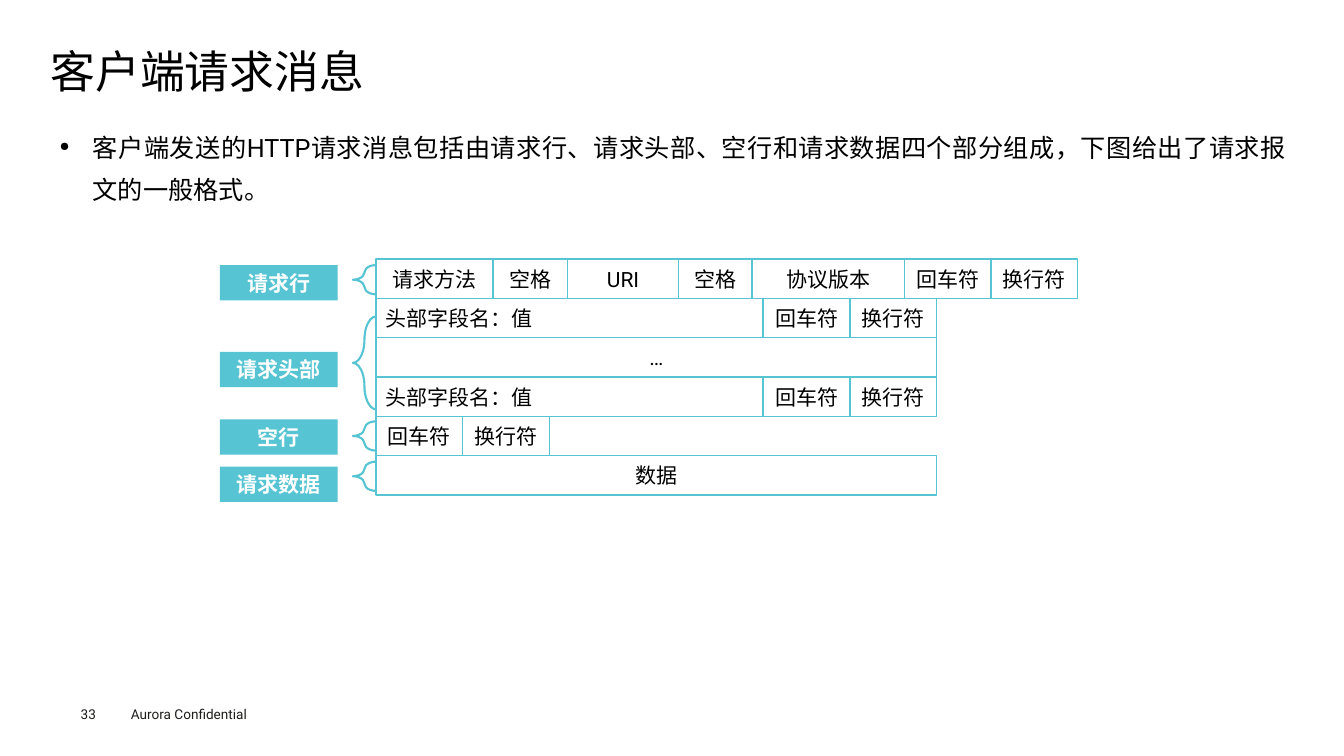
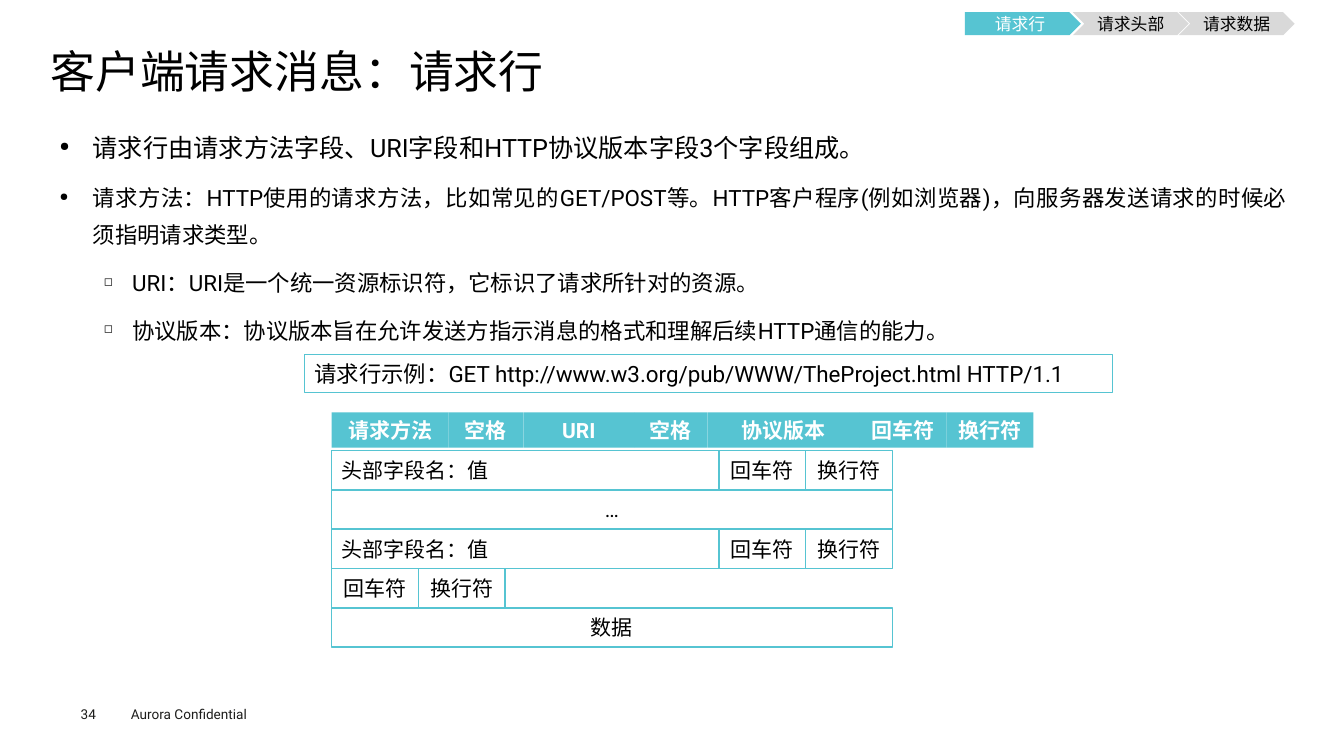
from lxml import etree
from pptx import Presentation
from pptx.dml.color import RGBColor
from pptx.enum.shapes import MSO_SHAPE as Kind
from pptx.enum.text import MSO_ANCHOR as Anchor, PP_ALIGN as Align
from pptx.oxml.ns import qn
from pptx.util import Inches, Pt

rgb = RGBColor.from_string
FONT = "Roboto"
TEAL, GREY, WHITE, BLACK, DARK = "56C4D2", "D9D9D9", "FFFFFF", "000000", "1D1D1B"
PITCH = 0.39
CR, LF = "回车符", "换行符"
FIELD = [("头部字段名：值", 3.84), (CR, 0.86), (LF, 0.86)]
ROWS = [
    [("请求方法", 1.16), ("空格", 0.74), ("URI", 1.1), ("空格", 0.73),
     ("协议版本", 1.51), (CR, 0.86), (LF, 0.86)],
    FIELD,
    [("…", 5.56)],
    FIELD,
    [(CR, 0.86), (LF, 0.86)],
    [("数据", 5.56)],
]


def write(shape, words, size, ink=BLACK, align=Align.LEFT, bold=False,
          inset=None, anchor=Anchor.TOP):
    """Set one styled paragraph in a shape and return it."""
    frame = shape.text_frame
    frame.word_wrap = True
    frame.vertical_anchor = anchor
    if inset is not None:
        frame.margin_left = frame.margin_right = Inches(inset[0])
        frame.margin_top = frame.margin_bottom = Inches(inset[1])
    para = frame.paragraphs[0]
    para.text = words
    para.alignment = align
    font = para.font
    font.name, font.size, font.bold = FONT, Pt(size), bold
    font.color.rgb = rgb(ink)
    return para


def box(slide, kind, at, fill=None, line=None, width=1):
    shape = slide.shapes.add_shape(kind, *map(Inches, at))
    shape.shadow.inherit = False
    if fill:
        shape.fill.solid()
        shape.fill.fore_color.rgb = rgb(fill)
    else:
        shape.fill.background()
    if line:
        shape.line.color.rgb = rgb(line)
        shape.line.width = Pt(width)
    else:
        shape.line.fill.background()
    return shape


# Title, page number, body as (level, size, text), table corner, first row filled
PAGES = [
    ("客户端请求消息", 33, [
        (0, 18, "客户端发送的HTTP请求消息包括由请求行、请求头部、空行和请求数据四个部分组成，"
                "下图给出了请求报文的一般格式。"),
    ], (3.73, 2.57), False),
    ("客户端请求消息：请求行", 34, [
        (0, 18, "请求行由请求方法字段、URI字段和HTTP协议版本字段3个字段组成。"),
        (0, 16, "请求方法：HTTP使用的请求方法，比如常见的GET/POST等。"
                "HTTP客户程序(例如浏览器)，向服务器发送请求的时候必须指明请求类型。"),
        (1, 16, "URI：URI是一个统一资源标识符，它标识了请求所针对的资源。"),
        (1, 16, "协议版本：协议版本旨在允许发送方指示消息的格式和理解后续HTTP通信的能力。"),
    ], (3.29, 4.08), True),
]
# Bullet, left margin, hanging indent, space before, alignment
LEVELS = [("●", 0.33, -0.33, 7.9, Align.JUSTIFY), ("◻", 0.72, -0.28, 7.2, Align.LEFT)]

deck = Presentation()
deck.slide_width, deck.slide_height = Inches(13.33), Inches(7.5)
slides = []

for title, page, body, (left, top), filled in PAGES:
    slide = deck.slides.add_slide(deck.slide_layouts[6])
    slides.append(slide)
    text = slide.shapes.add_textbox
    write(text(*map(Inches, (1.2, 6.95, 1.6, 0.27))), "Aurora Confidential", 9.7, DARK)
    write(text(*map(Inches, (0.8, 7, 0.55, 0.16))), str(page), 9.7, DARK, inset=(0, 0))
    head = write(text(*map(Inches, (0.5, 0.49, 12.35, 0.53))), title, 32, inset=(0, 0))
    head.line_spacing = 0.9

    frame = text(*map(Inches, (0.5, 1.15, 12.35, 5.34))).text_frame
    frame.word_wrap = True
    frame.margin_left = frame.margin_right = Inches(0.09)
    frame.margin_top = frame.margin_bottom = Inches(0.04)
    for i, (level, size, words) in enumerate(body):
        mark, margin, indent, space, align = LEVELS[level]
        para = frame.add_paragraph() if i else frame.paragraphs[0]
        para.text = words
        para.level, para.alignment, para.line_spacing = level, align, 1.4
        para.space_before = Pt(space if i else 0)
        props = para._p.get_or_add_pPr()
        props.set("marL", str(Inches(margin)))
        props.set("indent", str(Inches(indent)))
        etree.SubElement(props, qn("a:buSzPct")).set("val", "50000")
        etree.SubElement(props, qn("a:buChar")).set("char", mark)
        para.font.name, para.font.size = FONT, Pt(size)
        para.font.color.rgb = rgb(BLACK)

    for i, row in enumerate(ROWS):
        x, y = left, top + i * PITCH
        lit = filled and i == 0
        for words, width in row:
            if lit:
                cell = box(slide, Kind.RECTANGLE, (x, y + 0.01, width, 0.35), TEAL)
            else:
                cell = box(slide, Kind.RECTANGLE, (x, y, width, PITCH), WHITE, TEAL)
            align = Align.LEFT if words == FIELD[0][0] else Align.CENTER
            write(cell, words, 15, WHITE if lit else BLACK, align, lit, anchor=Anchor.MIDDLE)
            x += width

# Row labels and braces
first, second = slides
for words, y, start, height in [
    ("请求行", 2.63, 2.63, 0.29),
    ("请求头部", 3.49, 3.14, 0.92),
    ("空行", 4.16, 4.18, 0.29),
    ("请求数据", 4.63, 4.58, 0.29),
]:
    brace = box(first, Kind.LEFT_BRACE, (3.5, start, 0.23, height), line=TEAL, width=1.5)
    brace.adjustments[0] = 1.12
    label = box(first, Kind.RECTANGLE, (2.18, y, 1.17, 0.35), TEAL)
    write(label, words, 15, WHITE, Align.CENTER, True, anchor=Anchor.MIDDLE)

# Progress steps
for x, kind, words, fill, ink in [
    (9.57, Kind.PENTAGON, "请求行", TEAL, WHITE),
    (10.64, Kind.CHEVRON, "请求头部", GREY, BLACK),
    (11.69, Kind.CHEVRON, "请求数据", GREY, BLACK),
]:
    step = box(second, kind, (x, 0.12, 1.15, 0.23), fill)
    write(step, words, 12, ink, Align.CENTER, anchor=Anchor.MIDDLE)

sample = box(second, Kind.RECTANGLE, (3.02, 3.52, 8.01, 0.37), line=TEAL, width=0.75)
write(sample, "请求行示例：GET http://www.w3.org/pub/WWW/TheProject.html HTTP/1.1", 16,
      anchor=Anchor.MIDDLE)

deck.save("out.pptx")
